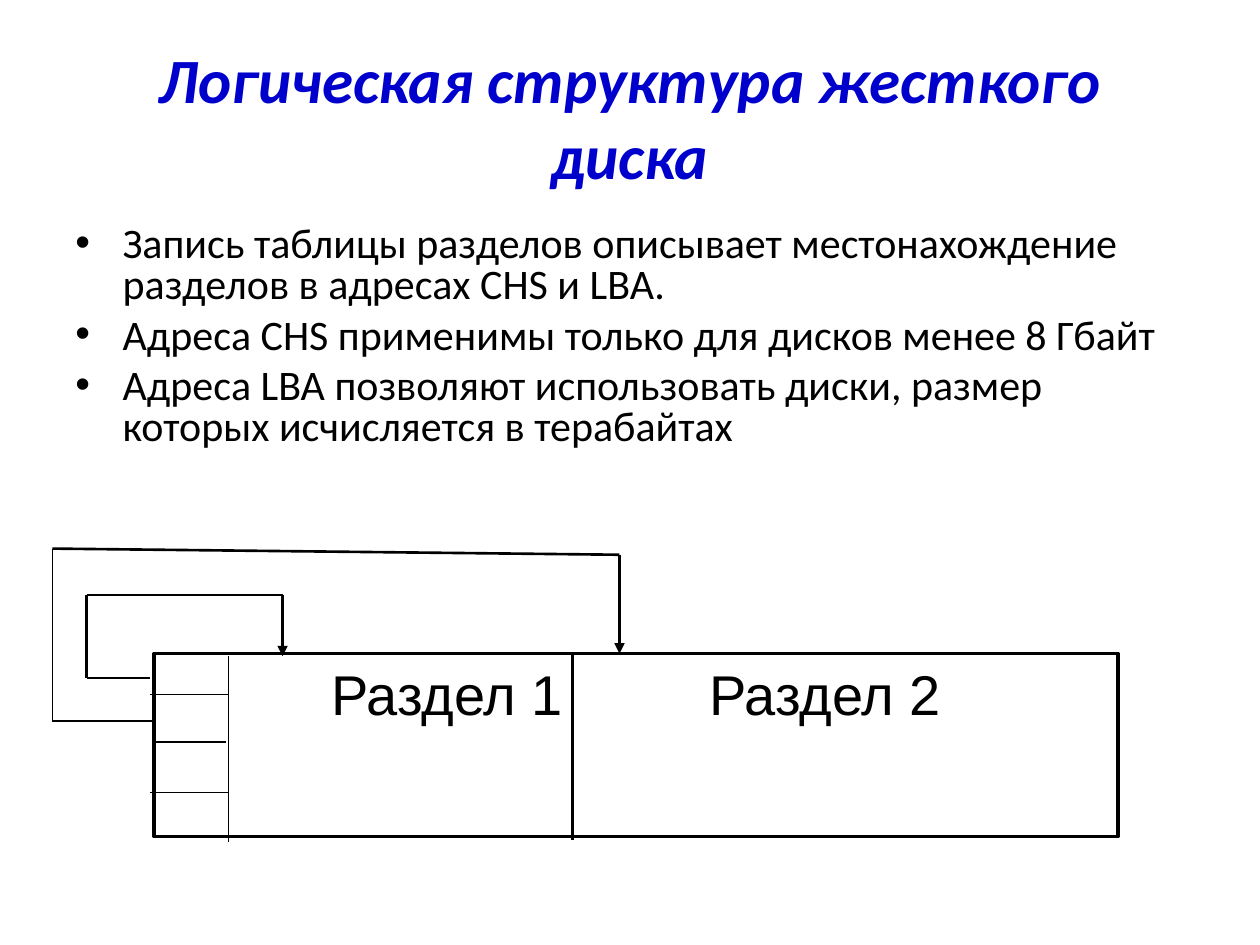
from itertools import pairwise

from lxml.etree import SubElement
from pptx import Presentation
from pptx.dml.color import RGBColor
from pptx.enum.shapes import MSO_CONNECTOR as Connector, MSO_SHAPE as Shape
from pptx.enum.text import MSO_ANCHOR as Anchor, PP_ALIGN as Align
from pptx.oxml.ns import qn
from pptx.util import Pt

BLUE = RGBColor(0x00, 0x00, 0xCC)
BLACK = RGBColor(0x00, 0x00, 0x00)

TITLE = "Логическая структура жесткого диска"
POINTS = [
    "Запись таблицы разделов описывает местонахождение разделов в адресах CHS и LBA.",
    "Адреса CHS применимы только для дисков менее 8 Гбайт",
    "Адреса LBA позволяют использовать диски, размер которых исчисляется в терабайтах",
]
THIN, MEDIUM, THICK = 0.75, 1.5, 2

# Disk rectangle: left, top, width, height
DISK = (88, 373.5, 551, 104.5)
# Partition table cells and the border between the partitions: start, end, weight
DIVIDERS = [
    ((130.5, 375), (130.5, 481), THIN),
    ((85.5, 396.75), (130.5, 396.75), THIN),
    ((87, 424), (129, 424), THIN),
    ((85.5, 453), (130.5, 453), THIN),
    ((327, 373.5), (327, 480), MEDIUM),
]
# Routes from table entries to partitions: corners and segment weights
ROUTES = [
    ([(85.5, 387.5), (49.5, 387.5), (49.5, 340), (161.5, 340), (161.5, 375)],
     [MEDIUM] * 4),
    ([(88, 412), (30, 412), (30, 313.5), (354, 317), (354, 373.5)],
     [MEDIUM, THIN, MEDIUM, MEDIUM]),
]


def style_text(para, font_name, size, color):
    for span in para.runs:
        span.font.name = font_name
        span.font.size = Pt(size)
        span.font.color.rgb = color


def add_bullet(para):
    props = para._p.get_or_add_pPr()
    props.set("marL", str(Pt(27)))
    props.set("indent", str(Pt(-27)))
    SubElement(props, qn("a:buFont")).set("typeface", "Arial")
    SubElement(props, qn("a:buChar")).set("char", "•")


def add_tabs(para, step, count):
    tabs = SubElement(para._p.get_or_add_pPr(), qn("a:tabLst"))
    for index in range(count):
        tab = SubElement(tabs, qn("a:tab"))
        tab.set("pos", str(Pt(index * step)))
        tab.set("algn", "l")


def add_text_box(page, left, top, width, height):
    box = page.shapes.add_textbox(Pt(left), Pt(top), Pt(width), Pt(height))
    box.text_frame.word_wrap = True
    return box


def add_title(page):
    frame = add_text_box(page, 36, 21.5, 648, 90).text_frame
    frame.vertical_anchor = Anchor.MIDDLE
    frame.text = TITLE
    para = frame.paragraphs[0]
    para.alignment = Align.CENTER
    style_text(para, "Calibri", 36, BLUE)
    for span in para.runs:
        span.font.bold = span.font.italic = True


def add_points(page):
    frame = add_text_box(page, 36, 126, 648, 356).text_frame
    frame.text = "\n".join(POINTS)
    for index, para in enumerate(frame.paragraphs):
        add_bullet(para)
        para.line_spacing = 0.8
        para.space_before = Pt(6 if index else 0)
        style_text(para, "Calibri", 24, BLACK)


def add_disk(page):
    disk = page.shapes.add_shape(Shape.RECTANGLE, *map(Pt, DISK))
    disk.shadow.inherit = False
    disk.fill.background()
    disk.line.color.rgb = BLACK
    disk.line.width = Pt(THICK)
    frame = disk.text_frame
    frame.vertical_anchor = Anchor.TOP
    frame.text = "Раздел 1\t\tРаздел 2"
    para = frame.paragraphs[0]
    add_tabs(para, 72, 8)
    para.alignment = Align.CENTER
    style_text(para, "Arial", 32, BLACK)


def add_line(page, start, end, weight, arrow=False):
    line = page.shapes.add_connector(Connector.STRAIGHT, *map(Pt, (*start, *end)))
    line.line.color.rgb = BLACK
    line.line.width = Pt(weight)
    if arrow:
        SubElement(line.line._get_or_add_ln(), qn("a:tailEnd")).set("type", "triangle")
    SubElement(line._element.spPr, qn("a:effectLst"))


def add_route(page, corners, weights):
    last = len(weights) - 1
    for index, (ends, weight) in enumerate(zip(pairwise(corners), weights)):
        add_line(page, *ends, weight, arrow=index == last)


def main():
    deck = Presentation()
    deck.slide_width, deck.slide_height = Pt(720), Pt(540)
    page = deck.slides.add_slide(deck.slide_layouts[6])

    # Heading and bullet list
    add_title(page)
    add_points(page)

    # Disk diagram
    add_disk(page)
    for divider in DIVIDERS:
        add_line(page, *divider)
    for corners, weights in ROUTES:
        add_route(page, corners, weights)

    deck.save("out.pptx")


if __name__ == "__main__":
    main()
